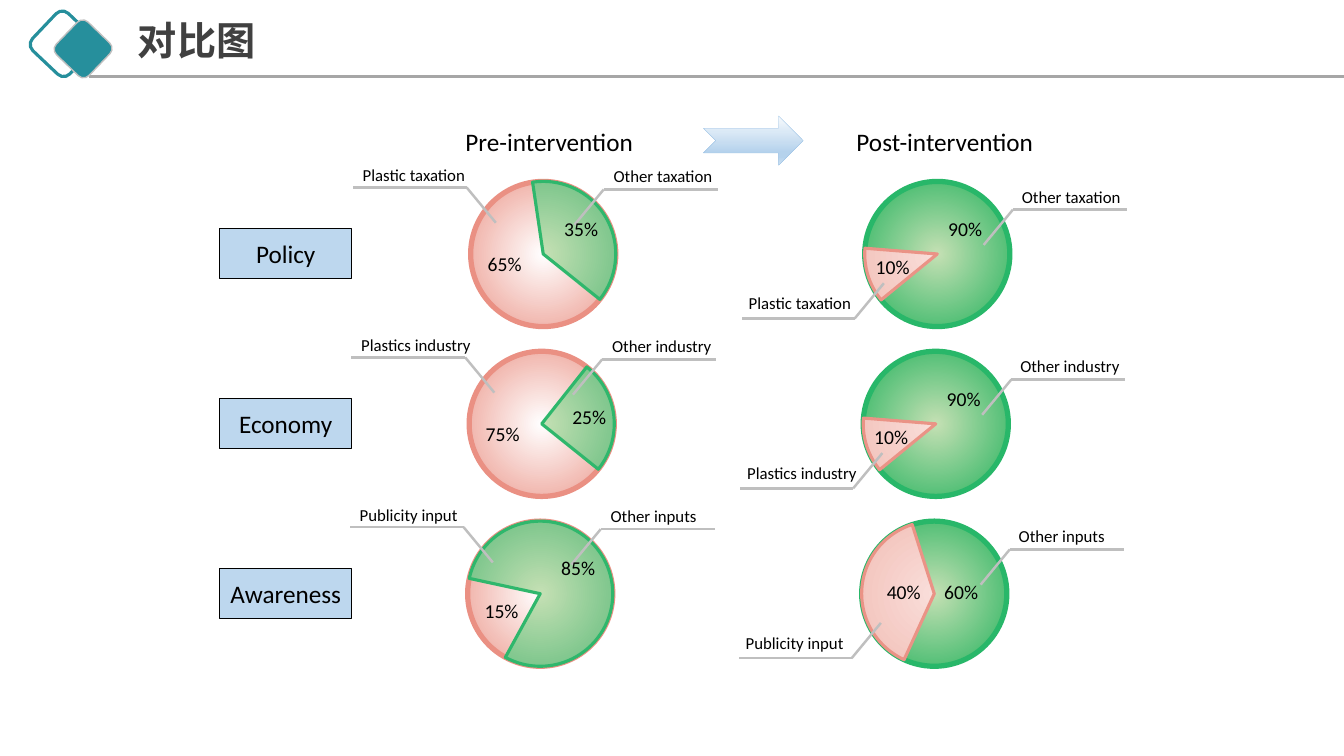
from dataclasses import dataclass
from typing import NamedTuple

import pptx
import pptx.dml.color
import pptx.enum.shapes
import pptx.enum.text
import pptx.oxml
import pptx.oxml.ns
import pptx.util
from lxml import etree

SHAPE = pptx.enum.shapes.MSO_SHAPE
ALIGN = pptx.enum.text.PP_ALIGN
ANCHOR = pptx.enum.text.MSO_ANCHOR
PX = 4572  # EMU per px, 200 px to the inch


@dataclass(frozen=True)
class Theme:
    font: str = "Calibri"
    title_font: str = "Noto Sans CJK SC"
    title_pt: int = 28
    heading_pt: int = 18
    percent_pt: int = 14
    label_pt: int = 12
    text: str = "000000"
    title: str = "404040"
    teal: str = "268F9C"
    rule: str = "A6A6A6"
    leader: str = "BFBFBF"
    box: str = "BDD7EE"
    arrow_line: str = "9DC3E6"


class Box(NamedTuple):
    x: int
    y: int
    w: int
    h: int

    def moved(self, dx: int, dy: int) -> "Box":
        return Box(self.x + dx, self.y + dy, self.w, self.h)


class Gradient(NamedTuple):
    stops: tuple[tuple[int, str], ...]
    radial: bool = True


class Style(NamedTuple):
    fill: str | Gradient | None
    line: str
    width: float


class Wedge(NamedTuple):
    """Start and end are degrees clockwise from three o'clock."""
    start: float
    end: float


class Percent(NamedTuple):
    text: str
    x: int
    y: int


class Row(NamedTuple):
    name: str
    plastic: str
    other: str
    pre: Wedge
    post: Wedge
    percents: tuple[Percent, ...]


class Callout(NamedTuple):
    """A leader from tip through elbow to end, with its label."""
    points: tuple[tuple[int, int], ...]
    label: Box
    is_plastic: bool


class Pie(NamedTuple):
    box: Box
    disc: Style
    wedge: Style


THEME = Theme()
STEP_X, STEP_Y = -3, 337
PRE = Pie(Box(934, 360, 288, 288),
          Style(Gradient(((0, "FFFFFF"), (100, "EB988C"))), "EA9083", 3.75),
          Style(Gradient(((0, "C5E0B4"), (100, "61BC7D"))), "2FB76C", 2.25))
POST = Pie(Box(1716, 360, 288, 288),
           Style(Gradient(((0, "C5E0B4"), (100, "23B25D"))), "28B769", 3.75),
           Style(Gradient(((0, "F9DEDA"), (100, "F2BDB5"))), "EA9386", 2.25))
CALLOUTS = (
    Callout(((984, 442), (926, 372), (700, 372)), Box(700, 318, 348, 60), True),
    Callout(((1140, 446), (1198, 376), (1424, 376)), Box(1198, 320, 348, 60), False),
    Callout(((1952, 486), (2010, 416), (2236, 416)), Box(2008, 360, 348, 60), False),
    Callout(((1754, 562), (1696, 632), (1472, 632)), Box(1466, 572, 272, 60), True),
)
ROWS = (
    Row("Policy", "Plastic taxation", "Other taxation",
        Wedge(261.6, 38.73), Wedge(140.72, 184.52),
        (Percent("65%", 948, 490), Percent("35%", 1100, 420),
         Percent("10%", 1718, 496), Percent("90%", 1862, 420))),
    Row("Economy", "Plastics industry", "Other industry",
        Wedge(308.4, 38.73), Wedge(140.72, 184.52),
        (Percent("75%", 947, 490), Percent("25%", 1119, 457),
         Percent("10%", 1718, 496), Percent("90%", 1862, 420))),
    Row("Awareness", "Publicity input", "Other inputs",
        Wedge(192.17, 118.67), Wedge(114.56, 252.29),
        (Percent("15%", 948, 504), Percent("85%", 1100, 420),
         Percent("40%", 1746, 466), Percent("60%", 1860, 466))),
)


def rgb(color: str) -> pptx.dml.color.RGBColor:
    return pptx.dml.color.RGBColor.from_string(color)


def emu(box: Box) -> list[int]:
    return [v * PX for v in box]


def fill_gradient(sp, gradient: Gradient) -> None:
    stops = "".join(f'<a:gs pos="{pos * 1000}"><a:srgbClr val="{color}"/></a:gs>'
                    for pos, color in gradient.stops)
    direction = ('<a:path path="circle"><a:fillToRect l="50000" t="50000" r="50000" b="50000"/></a:path>'
                 if gradient.radial else '<a:lin ang="5400000" scaled="0"/>')
    sp.fill.background()
    no_fill = sp._element.spPr.find(pptx.oxml.ns.qn("a:noFill"))
    no_fill.getparent().replace(no_fill, pptx.oxml.parse_xml(
        f'<a:gradFill {pptx.oxml.ns.nsdecls("a")} rotWithShape="1">'
        f'<a:gsLst>{stops}</a:gsLst>{direction}</a:gradFill>'))


def add_shape(s, kind, box: Box, style: Style, rotation: float = 0):
    sp = s.shapes.add_shape(kind, *emu(box))
    sp.shadow.inherit = False
    sp.rotation = rotation
    if isinstance(style.fill, Gradient):
        fill_gradient(sp, style.fill)
    elif style.fill:
        sp.fill.solid()
        sp.fill.fore_color.rgb = rgb(style.fill)
    else:
        sp.fill.background()
    sp.line.color.rgb = rgb(style.line)
    sp.line.width = pptx.util.Pt(style.width)
    return sp


def add_line(s, start: tuple[int, int], end: tuple[int, int], color: str, width: float) -> None:
    line = s.shapes.add_connector(pptx.enum.shapes.MSO_CONNECTOR.STRAIGHT,
                                  *(v * PX for v in start + end))
    line.line.color.rgb = rgb(color)
    line.line.width = pptx.util.Pt(width)
    etree.SubElement(line._element.spPr, pptx.oxml.ns.qn("a:effectLst"))


def write(sp, text: str, size: int, color: str = THEME.text, font: str = THEME.font):
    tf = sp.text_frame
    tf.word_wrap = True
    p = tf.paragraphs[0]
    p.text = text
    p.font.size = pptx.util.Pt(size)
    p.font.name = font
    p.font.color.rgb = rgb(color)
    return p


def add_text(s, box: Box, text: str, size: int, **look: str):
    return write(s.shapes.add_textbox(*emu(box)), text, size, **look)


def add_header(s) -> None:
    add_shape(s, SHAPE.ROUNDED_RECTANGLE, Box(74, 36, 102, 102), Style(None, THEME.teal, 2.25), 43.4)
    add_line(s, (176, 152), (2667, 152), THEME.rule, 2.25)
    add_shape(s, SHAPE.ROUNDED_RECTANGLE, Box(120, 52, 90, 90), Style(THEME.teal, THEME.leader, 1), 43.9)
    p = add_text(s, Box(254, 34, 1142, 118), "对比图", THEME.title_pt,
                 color=THEME.title, font=THEME.title_font)
    p.font.bold = True
    p.line_spacing = 0.9
    ea = etree.SubElement(p.runs[0].font._element, pptx.oxml.ns.qn("a:ea"))
    ea.set("typeface", THEME.title_font)


def add_pie(s, pie: Pie, wedge: Wedge, dx: int, dy: int) -> None:
    box = pie.box.moved(dx, dy)
    add_shape(s, SHAPE.OVAL, box, pie.disc)
    sp = add_shape(s, SHAPE.PIE, box, pie.wedge)
    for i, angle in enumerate(wedge):
        sp.adjustments[i] = angle * 0.6


def add_row(s, row: Row, index: int) -> None:
    dx, dy = STEP_X * index, STEP_Y * index
    add_pie(s, PRE, row.pre, dx, dy)
    add_pie(s, POST, row.post, dx, dy)
    name = add_shape(s, SHAPE.RECTANGLE, Box(436, 454 + dy, 262, 98), Style(THEME.box, THEME.text, 0.5))
    name.text_frame.vertical_anchor = ANCHOR.MIDDLE
    write(name, row.name, THEME.heading_pt).alignment = ALIGN.CENTER
    for callout in CALLOUTS:
        points = [(x + dx, y + dy) for x, y in callout.points]
        for start, end in zip(points, points[1:]):
            add_line(s, start, end, THEME.leader, 1.75)
        add_text(s, callout.label.moved(dx, dy), row.plastic if callout.is_plastic else row.other,
                 THEME.label_pt)
    for percent in row.percents:
        add_text(s, Box(percent.x, percent.y, 130, 68).moved(dx, dy), percent.text, THEME.percent_pt)


def main() -> None:
    prs = pptx.Presentation()
    prs.slide_width, prs.slide_height = 2667 * PX, 1500 * PX
    s = prs.slides.add_slide(prs.slide_layouts[6])
    add_header(s)
    for x, heading in ((904, "Pre-intervention"), (1680, "Post-intervention")):
        add_text(s, Box(x, 240, 408, 80), heading, THEME.heading_pt)
    blues = Gradient(((0, "F7FAFD"), (74, "B5D2EC"), (83, "B5D2EC"), (100, "CEE1F2")), radial=False)
    add_shape(s, SHAPE.NOTCHED_RIGHT_ARROW, Box(1396, 230, 198, 98), Style(blues, THEME.arrow_line, 0.25))
    for index, row in enumerate(ROWS):
        add_row(s, row, index)
    prs.save("out.pptx")


if __name__ == "__main__":
    main()
